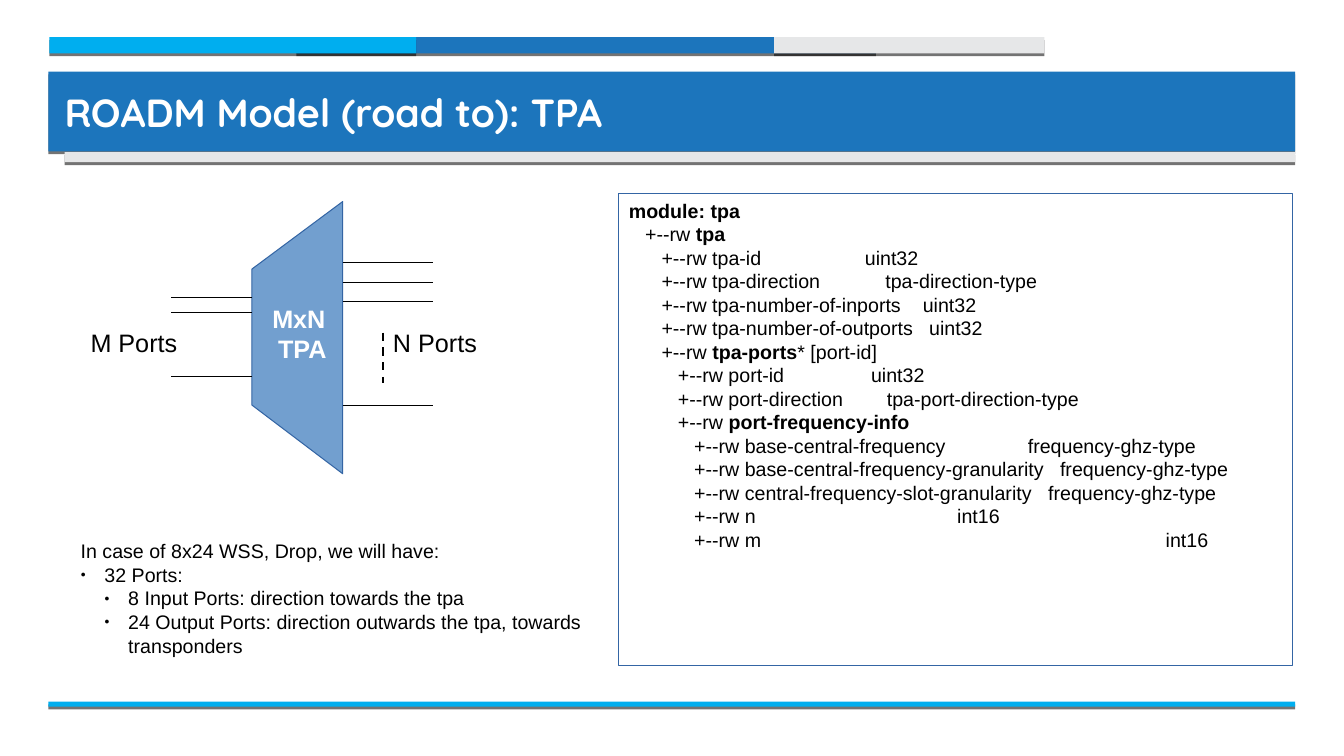
from dataclasses import dataclass

from lxml import etree
from pptx import Presentation
from pptx.dml.color import RGBColor
from pptx.enum.dml import MSO_LINE
from pptx.enum.shapes import MSO_CONNECTOR, MSO_SHAPE
from pptx.enum.text import MSO_ANCHOR, MSO_AUTO_SIZE, PP_ALIGN
from pptx.oxml.ns import qn
from pptx.util import Pt

RECTANGLE = MSO_SHAPE.RECTANGLE
STRAIGHT = MSO_CONNECTOR.STRAIGHT
DASH = MSO_LINE.DASH
TOP, MIDDLE = MSO_ANCHOR.TOP, MSO_ANCHOR.MIDDLE
LEFT, CENTER = PP_ALIGN.LEFT, PP_ALIGN.CENTER
NO_AUTOFIT = MSO_AUTO_SIZE.NONE

COLORS = {"blue": "1C75BC", "cyan": "00AEEF", "gray": "E6E7E8", "white": "FFFFFF",
          "black": "000000", "border": "3465A4", "device": "729FCF"}


@dataclass
class Bar:
    left: float
    top: float
    width: float
    height: float
    color: str


@dataclass
class TreeLine:
    level: int
    name: str
    bold: bool = False
    suffix: str = ""
    kind: str = ""
    stop: float = 0


@dataclass
class PortLine:
    start: float
    end: float
    height: float


@dataclass
class ListItem:
    text: str
    level: int


BARS = [
    Bar(211.7, 26.6, 414, 11.5, "blue"),
    Bar(35.3, 26.6, 262, 11.5, "cyan"),
    Bar(553, 26.6, 193, 11.5, "gray"),
    Bar(34.6, 51.1, 890.6, 57, "blue"),
    Bar(46.1, 108.7, 879.1, 7.2, "gray"),
    Bar(34.6, 501.1, 890.6, 3.6, "cyan"),
]
TREE = [
    TreeLine(1, "tpa", bold=True),
    TreeLine(2, "tpa-id", kind="uint32", stop=168.6),
    TreeLine(2, "tpa-direction", kind="tpa-direction-type", stop=183.2),
    TreeLine(2, "tpa-number-of-inports", kind="uint32", stop=210),
    TreeLine(2, "tpa-number-of-outports", kind="uint32", stop=214.5),
    TreeLine(2, "tpa-ports", bold=True, suffix="* [port-id]"),
    TreeLine(3, "port-id", kind="uint32", stop=173),
    TreeLine(3, "port-direction", kind="tpa-port-direction-type", stop=184.3),
    TreeLine(3, "port-frequency-info", bold=True),
    TreeLine(4, "base-central-frequency", kind="frequency-ghz-type", stop=285),
    TreeLine(4, "base-central-frequency-granularity", kind="frequency-ghz-type", stop=308),
    TreeLine(4, "central-frequency-slot-granularity", kind="frequency-ghz-type", stop=299.5),
    TreeLine(4, "n", kind="int16", stop=234.5),
    TreeLine(4, "m", kind="int16", stop=383.5),
]
TREE_INDENT = 11.67
INPUTS = [PortLine(180, 122.4, y) for y in (212.4, 223.2, 268.6)]
OUTPUTS = [PortLine(244.8, 309.6, y) for y in (187.2, 201.6, 215.3, 289.4)]
ITEMS = [
    ListItem("In case of 8x24 WSS, Drop, we will have:", 0),
    ListItem("32 Ports:", 1),
    ListItem("8 Input Ports: direction towards the tpa", 2),
    ListItem("24 Output Ports: direction outwards the tpa, towards transponders", 2),
]
ITEM_INDENT = 17


def color(name: str) -> RGBColor:
    return RGBColor.from_string(COLORS[name])


def place(box, left: float, top: float, width: float, height: float) -> None:
    box.left, box.top, box.width, box.height = Pt(left), Pt(top), Pt(width), Pt(height)


def set_frame(box, anchor=TOP, inset: tuple[float, float] = (7.2, 3.6)):
    frame = box.text_frame
    frame.word_wrap, frame.auto_size, frame.vertical_anchor = True, NO_AUTOFIT, anchor
    frame.margin_left = frame.margin_right = Pt(inset[0])
    frame.margin_top = frame.margin_bottom = Pt(inset[1])
    return frame


def add_span(para, text: str, size: float = 14, bold: bool = False,
             ink: str = "black", font: str = "Arial") -> None:
    span = para.add_run()
    span.text = text
    span.font.name, span.font.size, span.font.bold = font, Pt(size), bold
    span.font.color.rgb = color(ink)


def add_label(page, lines: list[str], left: float, top: float, width: float,
              height: float, align=LEFT, **style) -> None:
    frame = set_frame(page.shapes.add_textbox(Pt(left), Pt(top), Pt(width), Pt(height)))
    for index, line in enumerate(lines):
        para = frame.add_paragraph() if index else frame.paragraphs[0]
        para.alignment = align
        add_span(para, line, **style)


def add_bar(page, bar: Bar):
    shape = page.shapes.add_shape(RECTANGLE, Pt(bar.left), Pt(bar.top),
                                  Pt(bar.width), Pt(bar.height))
    shape.fill.solid()
    shape.fill.fore_color.rgb = color(bar.color)
    shape.line.fill.background()
    shape.shadow.inherit = False
    effects = shape.element.spPr.find(qn("a:effectLst"))
    shadow = etree.SubElement(effects, qn("a:outerShdw"), blurRad="0", dist=str(Pt(2)),
                              dir="5400000", rotWithShape="0")
    ink = etree.SubElement(shadow, qn("a:srgbClr"), val=COLORS["black"])
    etree.SubElement(ink, qn("a:alpha"), val="55000")
    return shape


def add_line(page, start: tuple[float, float], end: tuple[float, float],
             width: float = 0.75, dash=None) -> None:
    line = page.shapes.add_connector(STRAIGHT, *map(Pt, start + end))
    line.line.color.rgb, line.line.width = color("black"), Pt(width)
    if dash:
        line.line.dash_style = dash
    etree.SubElement(line.element.spPr, qn("a:effectLst"))


def outline(shape, fill: str) -> None:
    shape.fill.solid()
    shape.fill.fore_color.rgb = color(fill)
    shape.line.color.rgb, shape.line.width = color("border"), Pt(0.75)
    shape.shadow.inherit = False


def add_tree_line(frame, line: TreeLine) -> None:
    para = frame.add_paragraph()
    para.alignment = LEFT
    stops = etree.SubElement(para._p.get_or_add_pPr(), qn("a:tabLst"))
    for stop in (line.level * TREE_INDENT, line.stop):
        if stop:
            etree.SubElement(stops, qn("a:tab"), pos=str(Pt(stop)), algn="l")
    add_span(para, "\t+--rw ")
    add_span(para, line.name, bold=line.bold)
    if line.suffix:
        add_span(para, line.suffix)
    if line.kind:
        add_span(para, "\t" + line.kind)


def add_item(para, item: ListItem) -> None:
    para.level = max(item.level - 1, 0)
    para.space_before = Pt(0)
    props = para._p.get_or_add_pPr()
    props.set("marL", str(Pt(item.level * ITEM_INDENT)))
    props.set("indent", str(-Pt(ITEM_INDENT) if item.level else 0))
    if item.level:
        ink = etree.SubElement(props, qn("a:buClr"))
        etree.SubElement(ink, qn("a:srgbClr"), val=COLORS["black"])
        etree.SubElement(props, qn("a:buSzPct"), val="45000")
        etree.SubElement(props, qn("a:buChar"), char="●")
    else:
        etree.SubElement(props, qn("a:buNone"))
    add_span(para, item.text)


deck = Presentation()
deck.slide_width, deck.slide_height = Pt(960), Pt(540)
page = deck.slides.add_slide(deck.slide_layouts[1])
title, body = page.shapes.title, page.placeholders[1]

# Header and footer bars, behind the title
for bar in BARS:
    title.element.addprevious(add_bar(page, bar).element)

# Title
place(title, 46.1, 55.4, 868.3, 49)
heading = set_frame(title, MIDDLE, (0, 0)).paragraphs[0]
heading.alignment = LEFT
add_span(heading, "ROADM Model (road to): TPA", size=28, bold=True, ink="white",
         font="Quicksand")

# Module tree
panel = page.shapes.add_shape(RECTANGLE, Pt(442.1), Pt(138.2), Pt(481), Pt(337))
outline(panel, "white")
tree_frame = set_frame(panel)
tree_frame.paragraphs[0].alignment = LEFT
add_span(tree_frame.paragraphs[0], "module: tpa", bold=True)
for tree_line in TREE:
    add_tree_line(tree_frame, tree_line)

# Device with its ports
builder = page.shapes.build_freeform(Pt(244.8), Pt(144))
builder.add_line_segments([(Pt(x), Pt(y)) for x, y in
                           ((244.8, 338.4), (180, 289.4), (180, 192.2))])
outline(builder.convert_to_shape(), "device")
for port in INPUTS + OUTPUTS:
    add_line(page, (port.start, port.height), (port.end, port.height))
add_line(page, (273.6, 237.6), (273.6, 273.6), width=1.5, dash=DASH)
add_label(page, ["MxN ", "TPA"], 187.2, 213.1, 57.6, 47.5, align=CENTER, size=18,
          bold=True, ink="white")
add_label(page, ["M Ports"], 57.6, 230.4, 86.4, 27.4, size=18)
add_label(page, ["N Ports"], 273.6, 230.4, 86.4, 27.4, size=18)

# Port count list
place(body, 50.4, 381.6, 374.4, 85.7)
list_frame = set_frame(body)
for index, item in enumerate(ITEMS):
    add_item(list_frame.add_paragraph() if index else list_frame.paragraphs[0], item)

deck.save("out.pptx")
